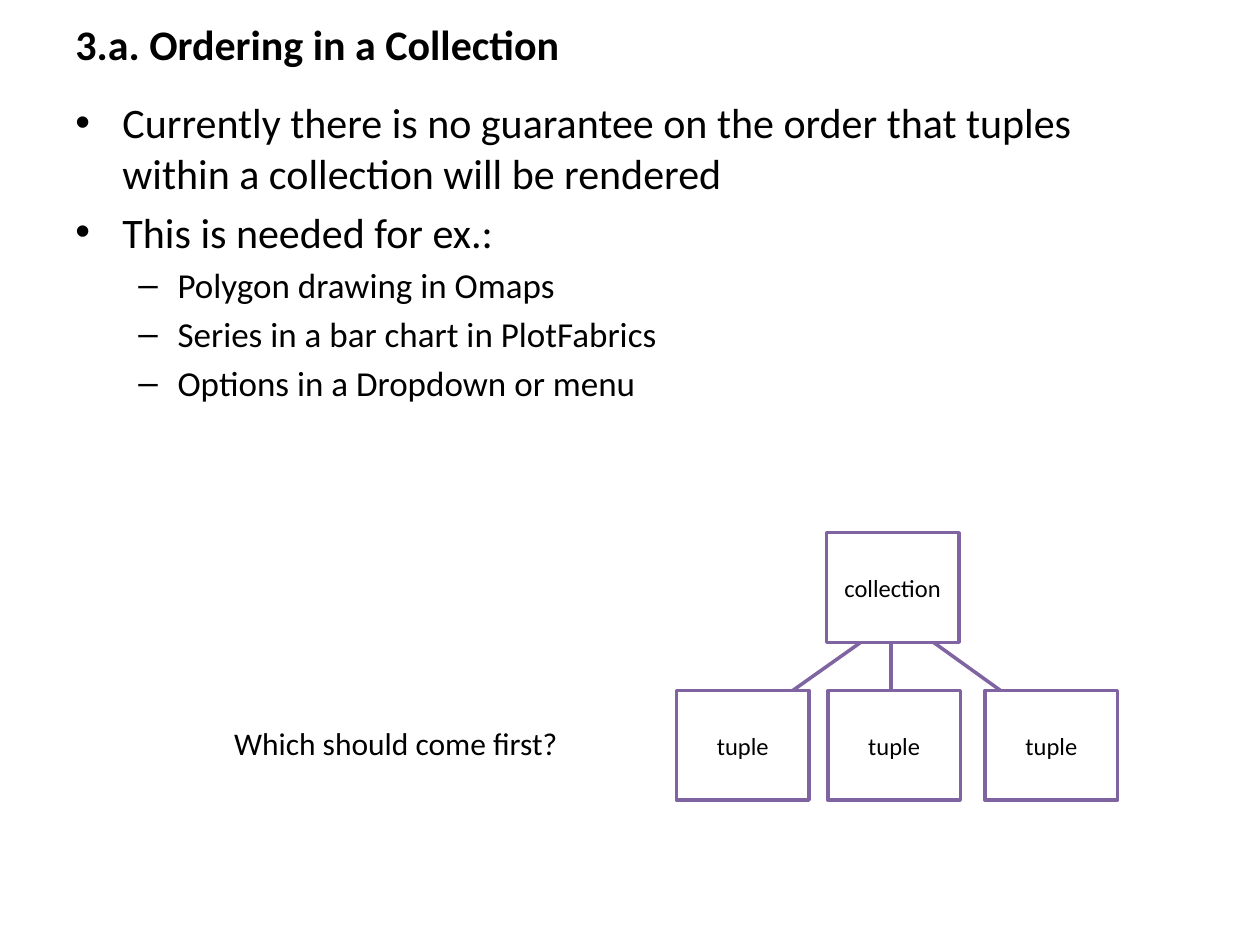
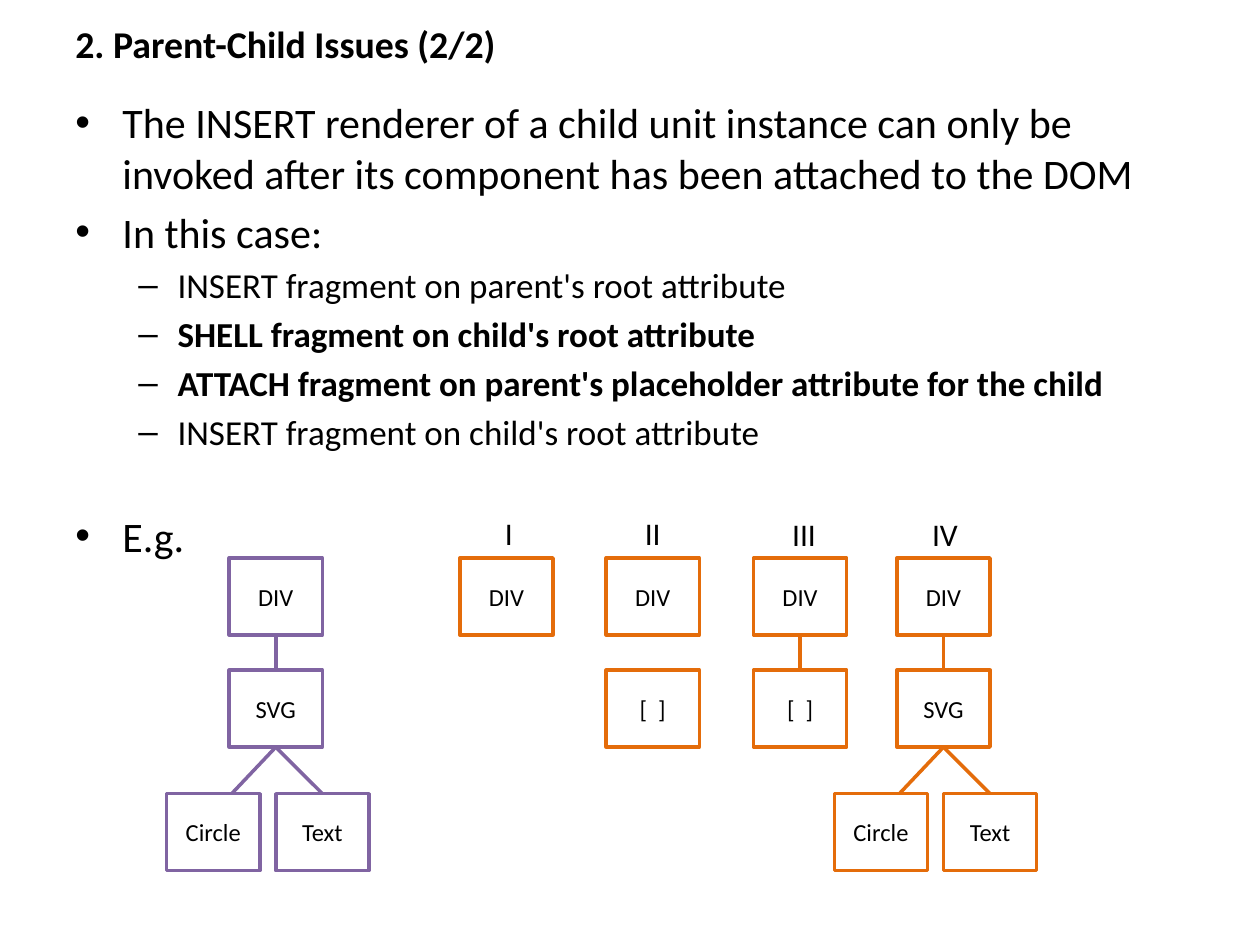
"""Build two slides on rendering order and parent-child issues."""
from dataclasses import dataclass

from lxml import etree
from pptx import Presentation
from pptx import util as u
from pptx.dml.color import RGBColor
from pptx.enum import shapes, text
from pptx.oxml.ns import qn
from pptx.slide import Slide

COLORS = {"ink": "000000", "paper": "FFFFFF", "model": "8064A2", "step": "E46C0A"}
FONT = "Calibri"
MARGIN, CONTENT_WIDTH = 1.27, 22.86
UNIT_ROWS = (11.25, 13.51, 16.0)
UNIT_WIDTH, UNIT_HEIGHT = 1.88, 1.55


@dataclass(frozen=True)
class Point:
    words: str
    level: int = 0
    bold: bool = False
    gap: float = 4.8


@dataclass(frozen=True)
class Level:
    size: float
    bullet: str
    margin: float
    hanging: float


@dataclass(frozen=True)
class Node:
    words: str
    left: float
    top: float
    width: float = UNIT_WIDTH
    height: float = UNIT_HEIGHT
    color: str = "model"


@dataclass(frozen=True)
class Link:
    x1: float
    y1: float
    x2: float
    y2: float
    color: str = "model"


@dataclass(frozen=True)
class Label:
    words: str
    left: float
    top: float
    width: float
    wrap: bool = False


LEVELS = (Level(24, "•", 0.95, 0.95), Level(20, "–", 2.06, 0.79))


def rgb(name: str) -> RGBColor:
    """Look up a named colour."""
    return RGBColor.from_string(COLORS[name])


def add_run(paragraph, words: str, size: float, bold: bool = False) -> None:
    """Append one styled run."""
    run = paragraph.add_run()
    run.text = words
    run.font.name = FONT
    run.font.size = u.Pt(size)
    run.font.bold = bold
    run.font.color.rgb = rgb("ink")


def add_frame(slide: Slide, left: float, top: float, width: float, height: float, wrap: bool = True):
    """Add a text box and return its text frame."""
    frame = slide.shapes.add_textbox(u.Cm(left), u.Cm(top), u.Cm(width), u.Cm(height)).text_frame
    frame.word_wrap = wrap
    return frame


def add_title(slide: Slide, words: str, size: float) -> None:
    """Add the slide heading."""
    heading = add_frame(slide, MARGIN, 0.33, CONTENT_WIDTH, 1.09)
    heading.vertical_anchor = text.MSO_ANCHOR.MIDDLE
    add_run(heading.paragraphs[0], words, size, bold=True)


def add_points(slide: Slide, points: list[Point], height: float) -> None:
    """Add the two-level bullet list."""
    body = add_frame(slide, MARGIN, 1.83, CONTENT_WIDTH, height)
    for index, point in enumerate(points):
        level = LEVELS[point.level]
        paragraph = body.add_paragraph() if index else body.paragraphs[0]
        paragraph.level = point.level
        paragraph.space_before = u.Pt(point.gap if index else 0)
        properties = paragraph._p.get_or_add_pPr()
        properties.set("marL", str(u.Cm(level.margin)))
        properties.set("indent", str(-u.Cm(level.hanging)))
        etree.SubElement(properties, qn("a:buFont"), typeface="Arial")
        etree.SubElement(properties, qn("a:buChar"), char=level.bullet)
        add_run(paragraph, point.words, level.size, point.bold)


def add_node(slide: Slide, node: Node) -> None:
    """Add one outlined box of a tree."""
    box = slide.shapes.add_shape(
        shapes.MSO_SHAPE.RECTANGLE,
        u.Cm(node.left), u.Cm(node.top), u.Cm(node.width), u.Cm(node.height))
    box.shadow.inherit = False
    box.fill.solid()
    box.fill.fore_color.rgb = rgb("paper")
    box.line.color.rgb = rgb(node.color)
    box.line.width = u.Pt(2)
    box.text_frame.vertical_anchor = text.MSO_ANCHOR.MIDDLE
    paragraph = box.text_frame.paragraphs[0]
    paragraph.alignment = text.PP_ALIGN.CENTER
    add_run(paragraph, node.words, 14)


def add_link(slide: Slide, link: Link) -> None:
    """Add one branch of a tree."""
    branch = slide.shapes.add_connector(
        shapes.MSO_CONNECTOR.STRAIGHT,
        u.Cm(link.x1), u.Cm(link.y1), u.Cm(link.x2), u.Cm(link.y2))
    branch.line.color.rgb = rgb(link.color)
    branch.line.width = u.Pt(2)
    etree.SubElement(branch._element.spPr, qn("a:effectLst"))


def add_label(slide: Slide, label: Label) -> None:
    """Add a short caption."""
    caption = add_frame(slide, label.left, label.top, label.width, 1.02, label.wrap)
    caption.auto_size = text.MSO_AUTO_SIZE.SHAPE_TO_FIT_TEXT
    add_run(caption.paragraphs[0], label.words, 18)


def add_unit_tree(slide: Slide, left: float, color: str, units: tuple[str, ...],
                  linked: bool = False, leaves: bool = False) -> None:
    """Add a column of units, optionally linked and forked into leaves."""
    center = left + UNIT_WIDTH / 2
    unit_row, leaf_row = UNIT_ROWS[1:]
    if linked:
        add_link(slide, Link(center, unit_row, center, UNIT_ROWS[0] + UNIT_HEIGHT, color))
    if leaves:
        for words, shift, reach in (("Circle", -1.26, -0.89), ("Text", 0.94, 0.94)):
            add_link(slide, Link(center + reach, leaf_row, center, unit_row + UNIT_HEIGHT, color))
            add_node(slide, Node(words, left + shift, leaf_row, color=color))
    for words, top in zip(units, UNIT_ROWS):
        add_node(slide, Node(words, left, top, color=color))


def build_ordering(slide: Slide) -> None:
    """Build the slide on ordering in a collection."""
    add_title(slide, "3.a. Ordering in a Collection", 24)
    add_points(slide, [
        Point("Currently there is no guarantee on the order that tuples within a collection will be rendered"),
        Point("This is needed for ex.:"),
        Point("Polygon drawing in Omaps", 1, gap=4),
        Point("Series in a bar chart in PlotFabrics", 1, gap=4),
        Point("Options in a Dropdown or menu", 1, gap=4),
    ], 15.19)
    tuple_top, collection_top, width, height = 13.92, 10.74, 2.67, 2.21
    for start, end in ((15.98, 17.35), (17.96, 17.96), (20.17, 18.82)):
        add_link(slide, Link(start, tuple_top, end, collection_top + height))
    add_node(slide, Node("collection", 16.66, collection_top, width, height))
    for left in (13.64, 16.69, 19.86):
        add_node(slide, Node("tuple", left, tuple_top, width, height))
    add_label(slide, Label("Which should come first?", 4.47, 14.48, 7.11))


def build_parent_child(slide: Slide) -> None:
    """Build the slide on parent-child issues."""
    add_title(slide, "2. Parent-Child Issues (2/2)", 21.6)
    add_points(slide, [
        Point("The INSERT renderer of a child unit instance can only be invoked after its component "
              "has been attached to the DOM"),
        Point("In this case:"),
        Point("INSERT fragment on parent's root attribute", 1, gap=4),
        Point("SHELL fragment on child's root attribute", 1, True, 4),
        Point("ATTACH fragment on parent's placeholder attribute for the child", 1, True, 4),
        Point("INSERT fragment on child's root attribute", 1, gap=4),
        Point("E.g.", gap=33),
    ], 10.21)
    add_unit_tree(slide, 4.62, "model", ("DIV", "SVG"), linked=True, leaves=True)
    add_unit_tree(slide, 9.27, "step", ("DIV",))
    add_unit_tree(slide, 12.22, "step", ("DIV", "[  ]"))
    add_unit_tree(slide, 15.19, "step", ("DIV", "[  ]"), linked=True)
    add_unit_tree(slide, 18.08, "step", ("DIV", "SVG"), linked=True, leaves=True)
    for step in (Label("I", 9.93, 10.24, 0.69), Label("II", 12.75, 10.24, 0.84),
                 Label("III", 15.72, 10.26, 1.3, True), Label("IV", 18.54, 10.26, 1.04)):
        add_label(slide, step)


def main() -> None:
    """Build and save the presentation."""
    deck = Presentation()
    deck.slide_width, deck.slide_height = u.Cm(25.4), u.Cm(19.05)
    for build in (build_ordering, build_parent_child):
        build(deck.slides.add_slide(deck.slide_layouts[6]))
    deck.save("out.pptx")


if __name__ == "__main__":
    main()
